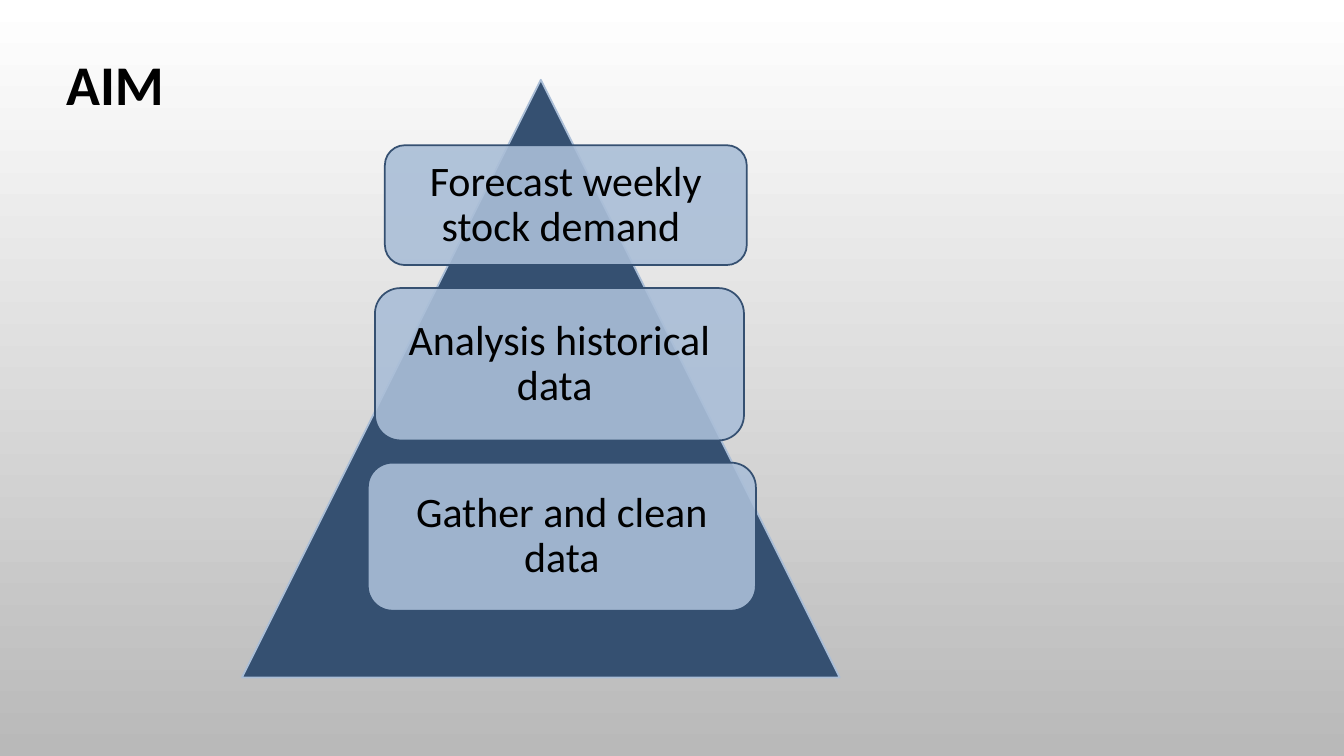
from lxml.etree import SubElement
from pptx import Presentation
from pptx.dml.color import RGBColor
from pptx.enum.shapes import MSO_SHAPE as SHAPE
from pptx.enum.text import MSO_ANCHOR as ANCHOR, MSO_AUTO_SIZE as AUTO, PP_ALIGN as ALIGN
from pptx.oxml.ns import qn
from pptx.util import Cm, Pt

COLORS = {"top": "FFFFFF", "bottom": "B9B9B9", "navy": "355071",
          "pale": "AABED7", "text": "000000"}
FONT = "Calibri"

# Left, top, width, height in cm, measured from the pyramid's corner
STEPS = [
    ("Forecast weekly stock demand ", (3.6, 1.65, 9.12, 3.02)),
    ("Analysis historical data ", (3.35, 5.25, 9.3, 3.84)),
    ("Gather and clean data", (3.17, 9.65, 9.78, 3.73)),
]


def rgb(name):
    return RGBColor.from_string(COLORS[name])


def add_run(p, text, size, bold=False):
    r = p.add_run()
    r.text = text
    r.font.name, r.font.size, r.font.bold = FONT, Pt(size), bold
    r.font.color.rgb = rgb("text")


def add_block(s, kind, box, fill, line):
    sp = s.shapes.add_shape(kind, *[Cm(v) for v in box])
    sp.shadow.inherit = False
    sp.fill.solid()
    sp.fill.fore_color.rgb = rgb(fill)
    sp.line.color.rgb = rgb(line)
    sp.line.width = Pt(1.25)
    return sp


def add_background(s):
    fill = s.background.fill
    fill.gradient()
    fill.gradient_angle = 270
    for stop, name in zip(fill.gradient_stops, ("top", "bottom")):
        stop.color.rgb = rgb(name)


def add_title(s, box, text):
    tf = s.shapes.add_textbox(*[Cm(v) for v in box]).text_frame
    tf.word_wrap = True
    tf.auto_size = AUTO.SHAPE_TO_FIT_TEXT
    add_run(tf.paragraphs[0], text, 40, bold=True)


def add_step(s, box, text):
    sp = add_block(s, SHAPE.ROUNDED_RECTANGLE, box, "pale", "navy")
    # 90 % opacity
    color = sp.fill._xPr.find(qn("a:solidFill"))[0]
    SubElement(color, qn("a:alpha"), val="90000")
    tf = sp.text_frame
    tf.word_wrap = True
    tf.vertical_anchor = ANCHOR.MIDDLE
    tf.margin_left = tf.margin_right = tf.margin_top = tf.margin_bottom = Cm(0.3)
    p = tf.paragraphs[0]
    p.alignment = ALIGN.CENTER
    p.line_spacing = 0.9
    add_run(p, text, 30)


def add_pyramid(s, box, steps):
    left, top = box[:2]
    add_block(s, SHAPE.ISOSCELES_TRIANGLE, box, "navy", "pale")
    for text, (dx, dy, width, height) in steps:
        add_step(s, (left + dx, top + dy, width, height), text)


def main():
    prs = Presentation()
    prs.slide_width, prs.slide_height = Cm(33.87), Cm(19.05)
    s = prs.slides.add_slide(prs.slide_layouts[6])
    add_background(s)
    add_title(s, (1.42, 1.12, 12.22, 1.96), "AIM")
    add_pyramid(s, (6.1, 2.01, 15.06, 15.06), STEPS)
    prs.save("out.pptx")


if __name__ == "__main__":
    main()
